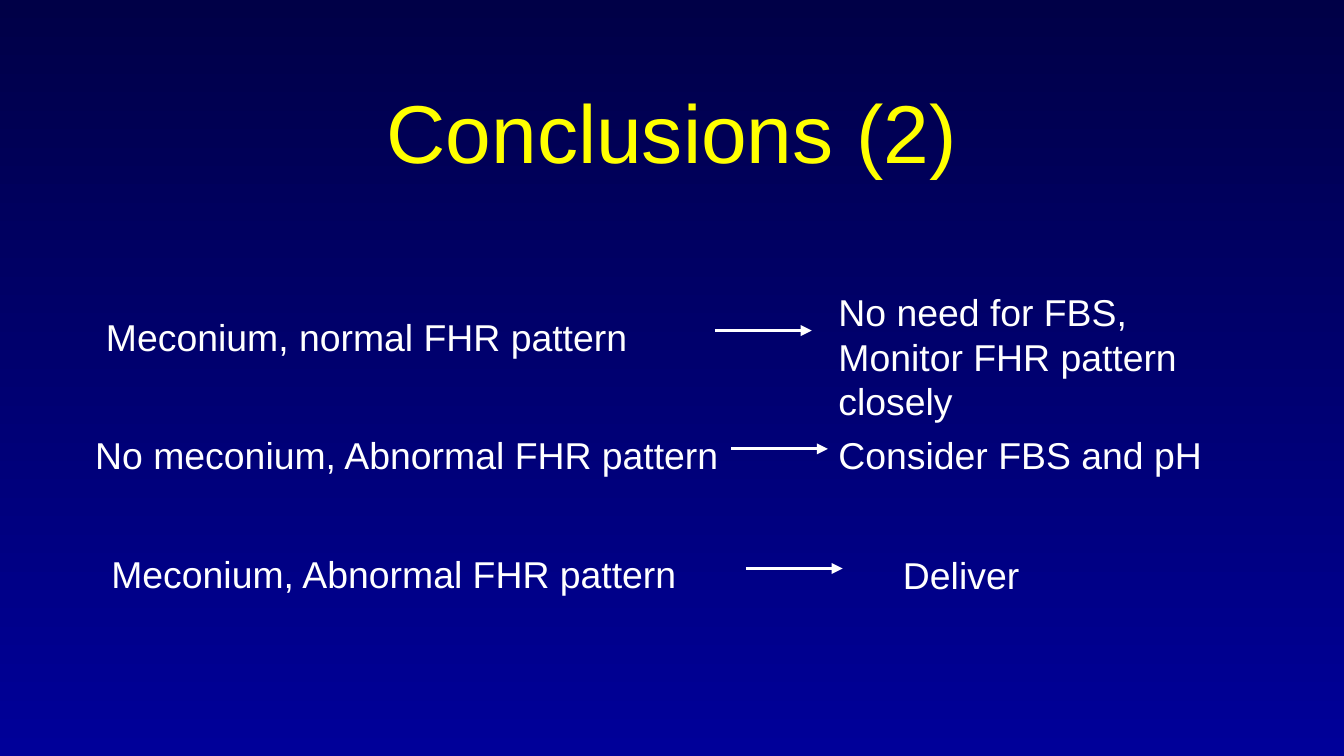
from dataclasses import dataclass

from lxml import etree
from pptx import Presentation
from pptx.dml.color import RGBColor
from pptx.enum import shapes, text
from pptx.oxml import ns
from pptx.util import Inches, Pt


@dataclass(frozen=True)
class Theme:
    font: str = "Arial"
    title_size: int = 44
    body_size: int = 20
    title: str = "FFFF00"
    body: str = "FFFFFF"
    bg_top: str = "000047"
    bg_bottom: str = "000099"


THEME = Theme()
ARROW_LENGTH = 0.72

# Each finding: (text, left, top, width), arrow (left, y), advice (lines, left, top, width)
ROWS = [
    (("Meconium, normal FHR pattern", 0.69, 2.29, 4.53), (5.32, 2.46),
     ("No need for FBS,\nMonitor FHR pattern\nclosely", 6.14, 2.1, 2.74)),
    (("No meconium, Abnormal FHR pattern", 0.61, 3.17, 4.88), (5.44, 3.34),
     ("Consider FBS and pH", 6.14, 3.17, 2.93)),
    (("Meconium, Abnormal FHR pattern", 0.73, 4.05, 4.44), (5.55, 4.23),
     ("Deliver", 6.62, 4.06, 1.08)),
]


def style_text(tf, size, color):
    for p in tf.paragraphs:
        for r in p.runs:
            r.font.name = THEME.font
            r.font.size = Pt(size)
            r.font.color.rgb = RGBColor.from_string(color)


def set_background(s):
    fill = s.background.fill
    fill.gradient()
    fill.gradient_angle = 270
    for stop, color in zip(fill.gradient_stops, (THEME.bg_top, THEME.bg_bottom)):
        stop.color.rgb = RGBColor.from_string(color)


def set_title(s, title):
    sp = s.shapes.title
    sp.left, sp.top = Inches(0.75), Inches(0.5)
    sp.width, sp.height = Inches(8.5), Inches(0.94)
    tf = sp.text_frame
    tf.text = title
    tf.vertical_anchor = text.MSO_ANCHOR.MIDDLE
    tf.paragraphs[0].alignment = text.PP_ALIGN.CENTER
    style_text(tf, THEME.title_size, THEME.title)


def add_label(s, label, left, top, width):
    height = 0.1 + 0.34 * len(label.splitlines())
    sp = s.shapes.add_textbox(Inches(left), Inches(top), Inches(width), Inches(height))
    tf = sp.text_frame
    tf.text = label
    tf.word_wrap = False
    style_text(tf, THEME.body_size, THEME.body)


def add_arrow(s, left, y):
    arrow = s.shapes.add_connector(
        shapes.MSO_CONNECTOR.STRAIGHT,
        Inches(left), Inches(y), Inches(left + ARROW_LENGTH), Inches(y))
    arrow.line.color.rgb = RGBColor.from_string(THEME.body)
    arrow.line.width = Pt(1.5)
    etree.SubElement(arrow.line._get_or_add_ln(), ns.qn("a:tailEnd"), type="triangle")
    etree.SubElement(arrow._element.spPr, ns.qn("a:effectLst"))


def main():
    prs = Presentation()
    prs.slide_width = Inches(10)
    prs.slide_height = prs.slide_width * 9 // 16
    s = prs.slides.add_slide(prs.slide_layouts[5])
    set_background(s)
    set_title(s, "Conclusions (2)")
    for finding, arrow, advice in ROWS:
        add_label(s, *finding)
        add_arrow(s, *arrow)
        add_label(s, *advice)
    prs.save("out.pptx")


if __name__ == "__main__":
    main()
